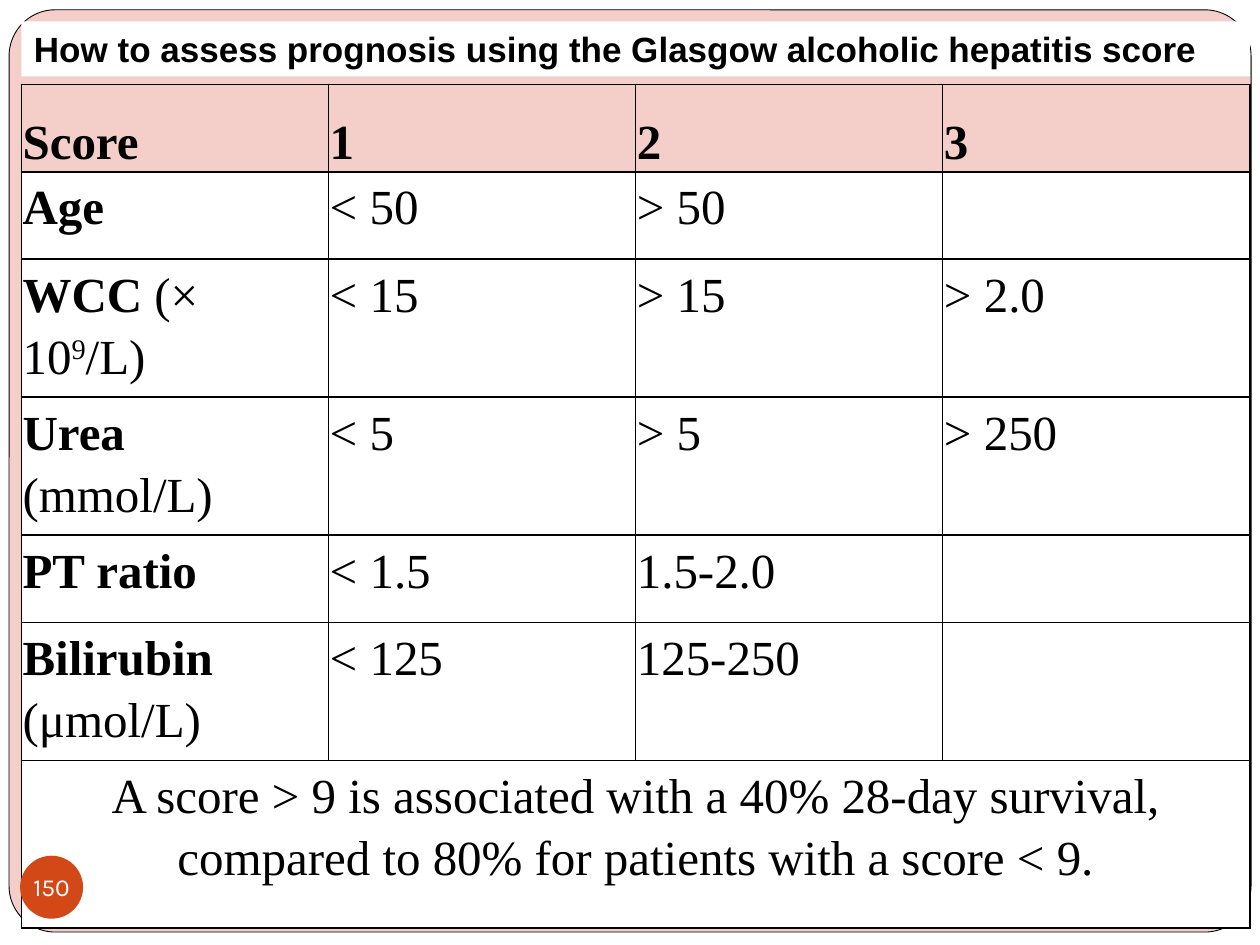
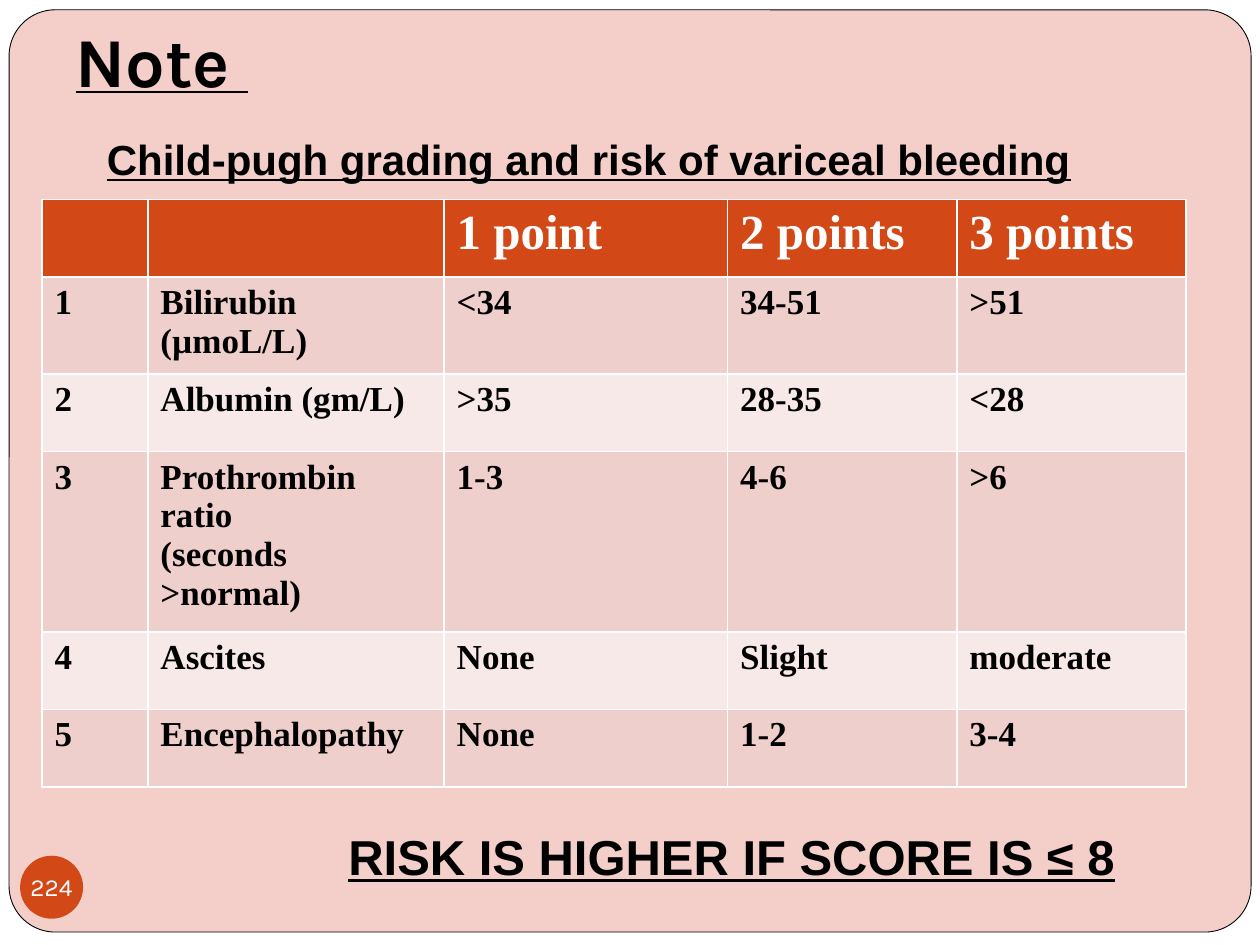
import dataclasses

import pptx
import pptx.dml.color
import pptx.enum.shapes
import pptx.enum.text
import pptx.oxml
import pptx.oxml.ns
import pptx.util

Pt = pptx.util.Pt
ALIGN = pptx.enum.text.PP_ALIGN
ANCHOR = pptx.enum.text.MSO_ANCHOR
FIT = pptx.enum.text.MSO_AUTO_SIZE
SHAPE = pptx.enum.shapes.MSO_SHAPE


@dataclasses.dataclass(frozen=True)
class Theme:
    black: str = "000000"
    white: str = "FFFFFF"
    panel: str = "F4CEC9"
    accent: str = "D34817"
    bands: tuple = ("EFCFCC", "F7E9E8")
    sans: str = "Arial"
    serif: str = "Times New Roman"
    display: str = "Karla"
    title: int = 40
    large: int = 28
    heading: int = 24
    text: int = 20
    badge: int = 14


@dataclasses.dataclass(frozen=True)
class Box:
    left: float
    top: float
    width: float
    height: float

    def lengths(self):
        return [Pt(value) for value in dataclasses.astuple(self)]


THEME = Theme()
PAGE = Box(0, 0, 720, 540)
CELL = dict(name=THEME.serif, size=Pt(THEME.large), color=THEME.black, bold=False)
STRONG = dict(CELL, bold=True)
HEADING = dict(name=THEME.sans, size=Pt(THEME.text), color=THEME.black, bold=True)
UNDERLINED = dict(HEADING, size=Pt(THEME.heading), underline=True)

GLASGOW_ROWS = [
    ["Score", "1", "2", "3"],
    ["Age", "< 50", "> 50", ""],
    [["WCC", " (× 10", "9", "/L)"], "< 15", "> 15", "> 2.0"],
    [["Urea", " (mmol/L)"], "< 5", "> 5", "> 250"],
    ["PT ratio", "< 1.5", "1.5-2.0", ""],
    [["Bilirubin", " (μmol/L)"], "< 125", "125-250", ""],
    ["A score > 9 is associated with a 40% 28-day survival, "
     "compared to 80% for patients with a score < 9.", "", "", ""],
]
CHILD_PUGH_ROWS = [
    ["", "", "1 point", "2 points", "3 points"],
    ["1", "Bilirubin (µmoL/L)", "<34", "34-51", ">51"],
    ["2", "Albumin (gm/L)", ">35", "28-35", "<28"],
    ["3", "Prothrombin ratio\n(seconds >normal)", "1-3", "4-6", ">6"],
    ["4", "Ascites", "None", "Slight", "moderate"],
    ["5", "Encephalopathy", "None", "1-2", "3-4"],
]


def rgb(color):
    return pptx.dml.color.RGBColor.from_string(color)


def paint(target, color):
    target.fill.solid()
    target.fill.fore_color.rgb = rgb(color)


def set_all(target, values):
    for name, value in values.items():
        setattr(target, name, value)


def add_span(para, text, look):
    span = para.add_run()
    span.text = text
    values = dict(look)
    span.font.color.rgb = rgb(values.pop("color"))
    if "baseline" in values:
        span.font._element.set("baseline", values.pop("baseline"))
    set_all(span.font, values)


def write(frame, text, look, **para_values):
    """Write text into a frame, one paragraph for each line."""
    for index, line in enumerate(text.split("\n")):
        para = frame.add_paragraph() if index else frame.paragraphs[0]
        set_all(para, para_values)
        if line:
            add_span(para, line, look)


def set_borders(cell, color):
    properties = cell._tc.get_or_add_tcPr()
    for index, side in enumerate("LRTB"):
        properties.insert(index, pptx.oxml.parse_xml(
            f'<a:ln{side} {pptx.oxml.ns.nsdecls("a")} w="12700"><a:solidFill>'
            f'<a:srgbClr val="{color}"/></a:solidFill></a:ln{side}>'))


def add_grid(page, box, widths, heights, border):
    """Add a plain table with bordered, unfilled cells."""
    table = page.shapes.add_table(len(heights), len(widths), *box.lengths()).table
    set_all(table, dict(first_row=False, horz_banding=False))
    for column, width in zip(table.columns, widths):
        column.width = Pt(width)
    for row, height in zip(table.rows, heights):
        row.height = Pt(height)
    for cell in table.iter_cells():
        cell.fill.background()
        set_borders(cell, border)
    return table


def add_panel(page, layout):
    """Put the rounded panel on the layout, behind its placeholders."""
    paint(layout.background, THEME.white)
    panel = page.shapes.add_shape(
        SHAPE.ROUNDED_RECTANGLE, *Box(5.2, 5.6, 709.7, 527).lengths())
    panel.adjustments[0] = 0.05
    panel.shadow.inherit = False
    paint(panel, THEME.panel)
    panel.line.color.rgb = rgb(THEME.black)
    panel.line.width = Pt(0.5)
    layout.shapes._spTree.insert(2, panel._element)


def add_badge(page, number):
    badge = page.shapes.add_shape(SHAPE.OVAL, *Box(11.5, 489, 36, 36).lengths())
    badge.shadow.inherit = False
    paint(badge, THEME.accent)
    badge.line.fill.background()
    frame = badge.text_frame
    set_all(frame, dict(margin_left=0, margin_right=0, margin_top=0, margin_bottom=0,
                        word_wrap=False, vertical_anchor=ANCHOR.MIDDLE))
    look = dict(name=THEME.display, size=Pt(THEME.badge), color=THEME.white)
    write(frame, str(number), look, alignment=ALIGN.CENTER)


def set_title(page, box, text, look, **frame_values):
    title = page.shapes.title
    set_all(title, dict(zip(("left", "top", "width", "height"), box.lengths())))
    set_all(title.text_frame, dict(word_wrap=True, auto_size=FIT.NONE, **frame_values))
    write(title.text_frame, text, look, alignment=ALIGN.LEFT)
    return title


def add_caption(page, box, text, look):
    frame = page.shapes.add_textbox(*box.lengths()).text_frame
    set_all(frame, dict(word_wrap=True, auto_size=FIT.SHAPE_TO_FIT_TEXT))
    write(frame, text, look)


def fill_glasgow_cell(cell, content, is_header, is_label, is_note):
    set_all(cell, dict.fromkeys(
        ("margin_left", "margin_right", "margin_top", "margin_bottom"), Pt(0.75)))
    if is_header:
        cell.vertical_anchor = ANCHOR.BOTTOM
    else:
        paint(cell, THEME.white)
    label, *units = [content] if isinstance(content, str) else content
    look = STRONG if is_header or (is_label and not is_note) else CELL
    write(cell.text_frame, label, look, line_spacing=1.15,
          alignment=ALIGN.CENTER if is_note else ALIGN.LEFT)
    for unit in units:
        raised = dict(CELL, baseline="30000") if unit == "9" else CELL
        add_span(cell.text_frame.paragraphs[0], unit, raised)


def add_glasgow_table(page, box):
    single, double, note = 50, 78.8, 96
    heights = [single, single, double, double, single, double, note]
    table = add_grid(page, box, [box.width / 4] * 4, heights, THEME.black)
    last = len(heights) - 1
    for row, contents in enumerate(GLASGOW_ROWS):
        for column, content in enumerate(contents):
            fill_glasgow_cell(table.cell(row, column), content,
                              row == 0, column == 0, row == last)
    table.cell(last, 0).merge(table.cell(last, 3))


def add_child_pugh_table(page, box):
    single = 44.3
    heights = [single, 55.4, single, 103.1, single, single]
    table = add_grid(page, box, [60.5, 169.3, 162, 131, 131], heights, THEME.white)
    header = dict(STRONG, color=THEME.white)
    body = dict(STRONG, size=Pt(THEME.text))
    for row, contents in enumerate(CHILD_PUGH_ROWS):
        for column, content in enumerate(contents):
            cell = table.cell(row, column)
            paint(cell, THEME.bands[(row - 1) % 2] if row else THEME.accent)
            write(cell.text_frame, content, body if row else header)


def build_glasgow_page(page):
    left, width = 12.2, 702
    add_glasgow_table(page, Box(left, 48.2, width, 482.4))
    add_badge(page, 150)
    title = set_title(
        page, Box(left, 12.2, width, 31.5),
        "How to assess prognosis using the Glasgow alcoholic hepatitis score",
        HEADING, vertical_anchor=ANCHOR.TOP)
    paint(title, THEME.white)


def build_child_pugh_page(page):
    look = dict(UNDERLINED, name=THEME.display, size=Pt(THEME.title))
    set_title(page, Box(36, 45.4, 648, 20), "Note ", look,
              vertical_anchor=ANCHOR.BOTTOM, margin_bottom=Pt(7.2))
    add_child_pugh_table(page, Box(24, 114, 653.8, 335.7))
    add_caption(page, Box(54, 72.7, 606, 36.4),
                "Child-pugh grading and risk of variceal bleeding", UNDERLINED)
    add_caption(page, Box(192, 468.7, 480, 41.2), "RISK IS HIGHER IF SCORE IS ≤ 8",
                dict(UNDERLINED, size=Pt(THEME.large)))
    add_badge(page, 224)


def main():
    deck = pptx.Presentation()
    deck.slide_width, deck.slide_height = Pt(PAGE.width), Pt(PAGE.height)
    layout = deck.slide_layouts.get_by_name("Title Only")
    builders = (build_glasgow_page, build_child_pugh_page)
    pages = [deck.slides.add_slide(layout) for _ in builders]
    add_panel(pages[0], layout)
    for build, page in zip(builders, pages):
        build(page)
    deck.save("out.pptx")


if __name__ == "__main__":
    main()
